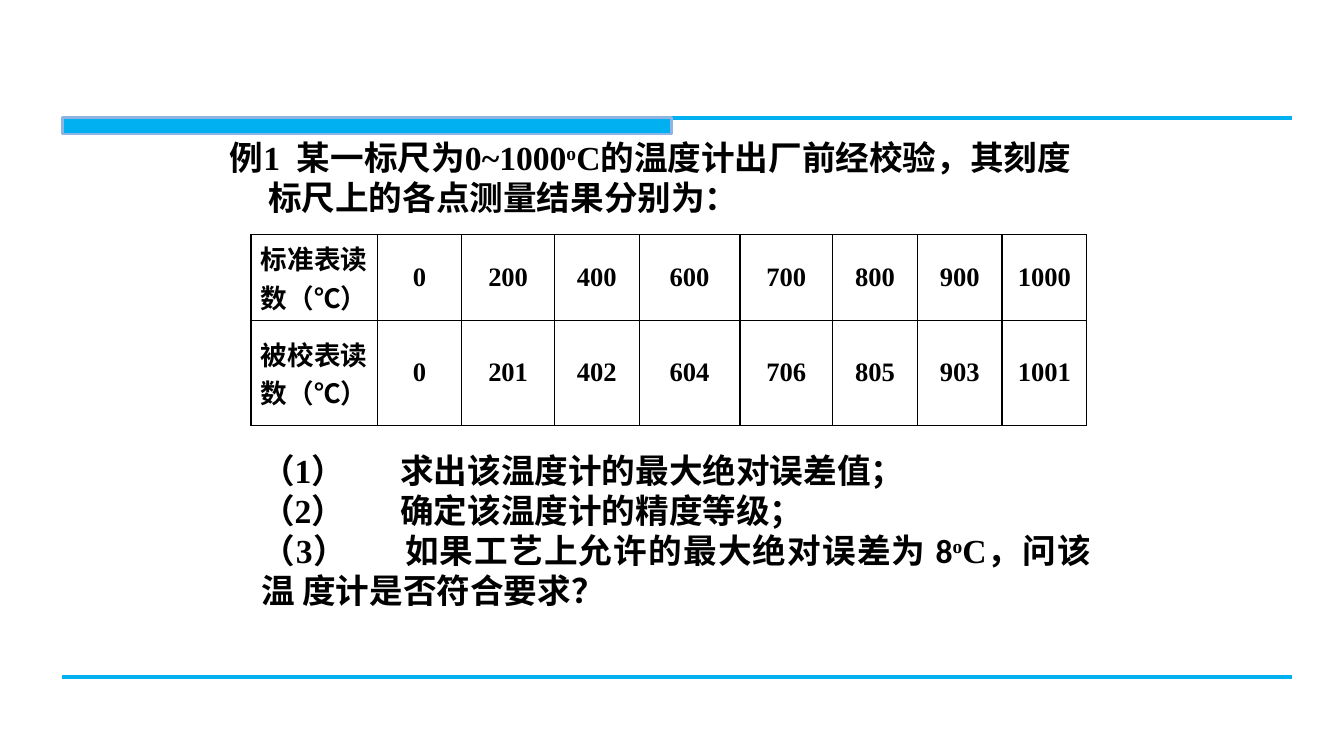
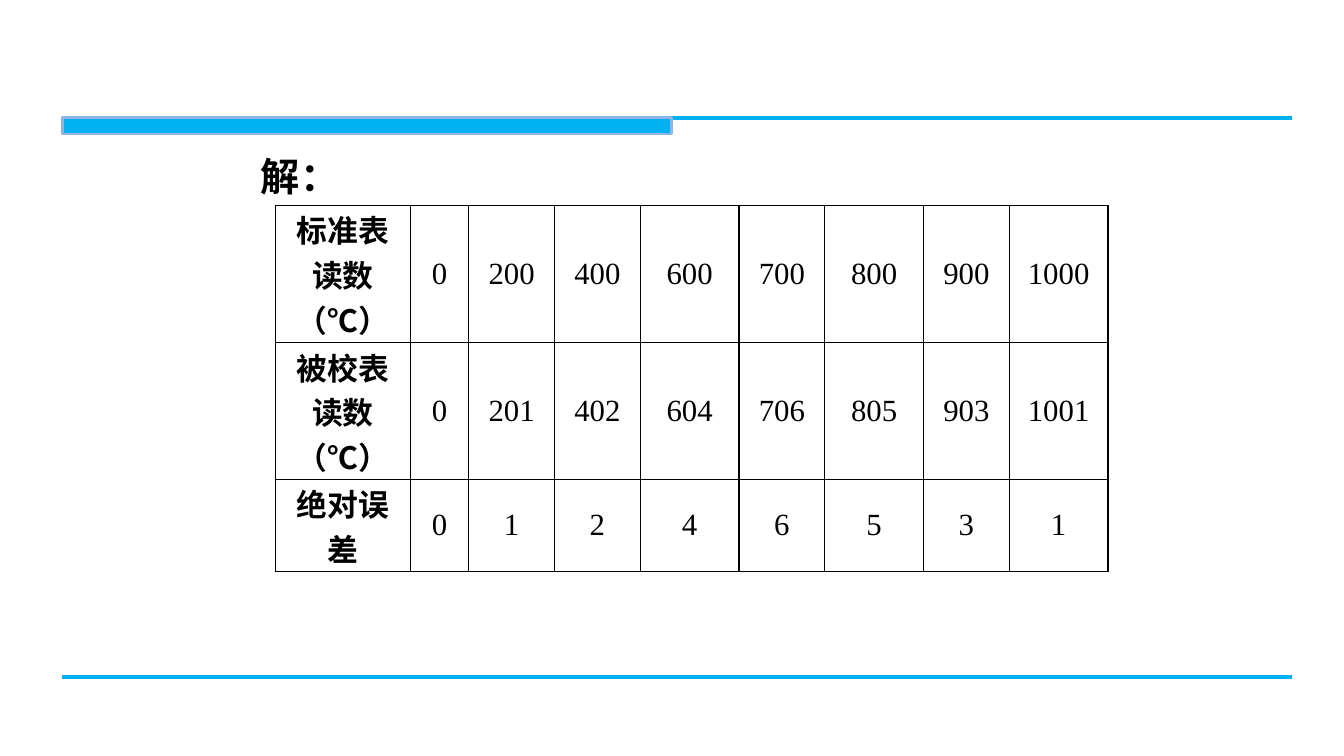
from lxml.etree import SubElement
from pptx import Presentation
from pptx.dml.color import RGBColor
from pptx.enum.shapes import MSO_CONNECTOR, MSO_SHAPE
from pptx.enum.text import MSO_ANCHOR, PP_ALIGN
from pptx.oxml.ns import qn
from pptx.util import Inches, Pt

COLORS = {"ink": "000000", "band": "00B0F0", "edge": "8EB4E3"}
SERIF, SANS = "Times New Roman", "Calibri"
LEAD = 1.19  # line pitch as a share of text size

STD = [0, 200, 400, 600, 700, 800, 900, 1000]
TEST = [0, 201, 402, 604, 706, 805, 903, 1001]
ROWS = [["标准表读数（℃）", *STD], ["被校表读数（℃）", *TEST]]
ERRORS = ["绝对误差", *(abs(b - a) for a, b in zip(STD, TEST))]


def color(name):
    """Return a named colour."""
    return RGBColor.from_string(COLORS[name])


def put(item, **values):
    """Set each given format value on an item."""
    for key, value in values.items():
        setattr(item, key, value)


def add_run(para, text, size, face=SERIF, bold=True, base=0):
    """Add one run, raised by base percent."""
    run = para.add_run()
    run.text = text
    put(run.font, name=face, size=Pt(size), bold=bold)
    run.font.color.rgb = color("ink")
    if base:
        run.font._element.set("baseline", str(base * 1000))


def add_rule(slide, y):
    """Draw a rule across the slide."""
    line = slide.shapes.add_connector(
        MSO_CONNECTOR.STRAIGHT, Inches(0.62), Inches(y), Inches(12.81), Inches(y))
    line.line.color.rgb = color("band")
    line.line.width = Pt(3)
    SubElement(line._element.spPr, qn("a:effectLst"))


def add_frame(slide):
    """Draw the rules and the band that all slides share."""
    add_rule(slide, 1.17)
    band = slide.shapes.add_shape(
        MSO_SHAPE.RECTANGLE, Inches(0.62), Inches(1.17), Inches(6.04), Inches(0.16))
    band.shadow.inherit = False
    band.fill.solid()
    band.fill.fore_color.rgb = color("band")
    band.line.color.rgb = color("edge")
    band.line.width = Pt(2)
    add_rule(slide, 6.72)


def add_text(slide, spot, paras, size, inset=(0.1, 0.05), hang=0, tab=0,
             align=PP_ALIGN.LEFT):
    """Add a text box; each paragraph is a list of (text, format) runs."""
    frame = slide.shapes.add_textbox(*map(Inches, spot)).text_frame
    side, edge = map(Inches, inset)
    put(frame, word_wrap=True, margin_left=side, margin_right=side,
        margin_top=edge, margin_bottom=edge)
    for i, runs in enumerate(paras):
        para = frame.add_paragraph() if i else frame.paragraphs[0]
        put(para, alignment=align, line_spacing=Pt(size * LEAD))
        props = para._p.get_or_add_pPr()
        if hang:
            props.set("marL", str(Inches(hang)))
            props.set("indent", str(-Inches(hang)))
        if tab:
            tabs = SubElement(props, qn("a:tabLst"))
            SubElement(tabs, qn("a:tab"), pos=str(Inches(tab)), algn="l")
        for text, form in runs:
            add_run(para, text, size, **form)


def add_edges(cell):
    """Give a cell thin black borders and no fill."""
    props = cell._tc.get_or_add_tcPr()
    for side in ("lnL", "lnR", "lnT", "lnB"):
        line = SubElement(props, qn("a:" + side), w=str(Pt(1)))
        fill = SubElement(line, qn("a:solidFill"))
        SubElement(fill, qn("a:srgbClr"), val=COLORS["ink"])
    cell.fill.background()


def add_grid(slide, left, top, rows, widths, heights, size, bold):
    """Add a table whose first column is always bold."""
    grid = slide.shapes.add_table(
        len(rows), len(widths), Inches(left), Inches(top),
        Inches(sum(widths)), Inches(sum(heights))).table
    put(grid, first_row=False, horz_banding=False)
    for col, width in zip(grid.columns, widths):
        col.width = Inches(width)
    for r, (row, height) in enumerate(zip(rows, heights)):
        grid.rows[r].height = Inches(height)
        for c, value in enumerate(row):
            cell = grid.cell(r, c)
            put(cell, vertical_anchor=MSO_ANCHOR.MIDDLE,
                margin_left=Inches(0.07), margin_right=Inches(0.07),
                margin_top=0, margin_bottom=0)
            para = cell.text_frame.paragraphs[0]
            para.alignment = PP_ALIGN.CENTER
            add_run(para, str(value), size, bold=bold or c == 0)
            add_edges(cell)


def add_task(slide):
    """Build the example and its questions."""
    sans, high = {"face": SANS}, {"base": 30}
    add_text(slide, (2.18, 1.31, 8.82, 1.1), [[
        ("例1\u2002某一标尺为0~1000", {}), ("o", high),
        ("C的温度计出厂前经校验，其刻度标尺上的各点测量结果分别为：", {})]],
        24, hang=0.38)
    add_grid(slide, 2.49, 2.33, ROWS,
             [1.25, 0.84, 0.92, 0.84, 1, 0.92, 0.84, 0.84, 0.84],
             [0.85, 1.04], 19, True)
    add_text(slide, (2.57, 4.46, 8.27, 1.64), [
        [("（1）\t求出该温度计的最大绝对误差值；", {})],
        [("（2）\t确定该温度计的精度等级；", {})],
        [("（3）\t", {}), ("如果工艺上允许的最大绝对误差为 8", sans),
         ("o", high), ("C", {}), ("，问该温 度计是否符合要求？", sans)]],
        24, inset=(0.02, 0.01), tab=1.38, align=PP_ALIGN.JUSTIFY)


def add_answer(slide):
    """Build the solution with the error of each point."""
    add_grid(slide, 2.73, 2.04, [*ROWS, ERRORS],
             [1.34, 0.58, 0.85, 0.85, 0.98, 0.85, 0.98, 0.85, 0.98],
             [1.36, 1.36, 0.91], 22, False)
    add_text(slide, (2.49, 1.47, 1.42, 0.57), [[("解：", {"face": SANS})]], 28)


def main():
    """Build and save the slides."""
    deck = Presentation()
    put(deck, slide_width=Inches(13.33), slide_height=Inches(7.5))
    for build in (add_task, add_answer):
        slide = deck.slides.add_slide(deck.slide_layouts[6])
        add_frame(slide)
        build(slide)
    deck.save("out.pptx")


main()
